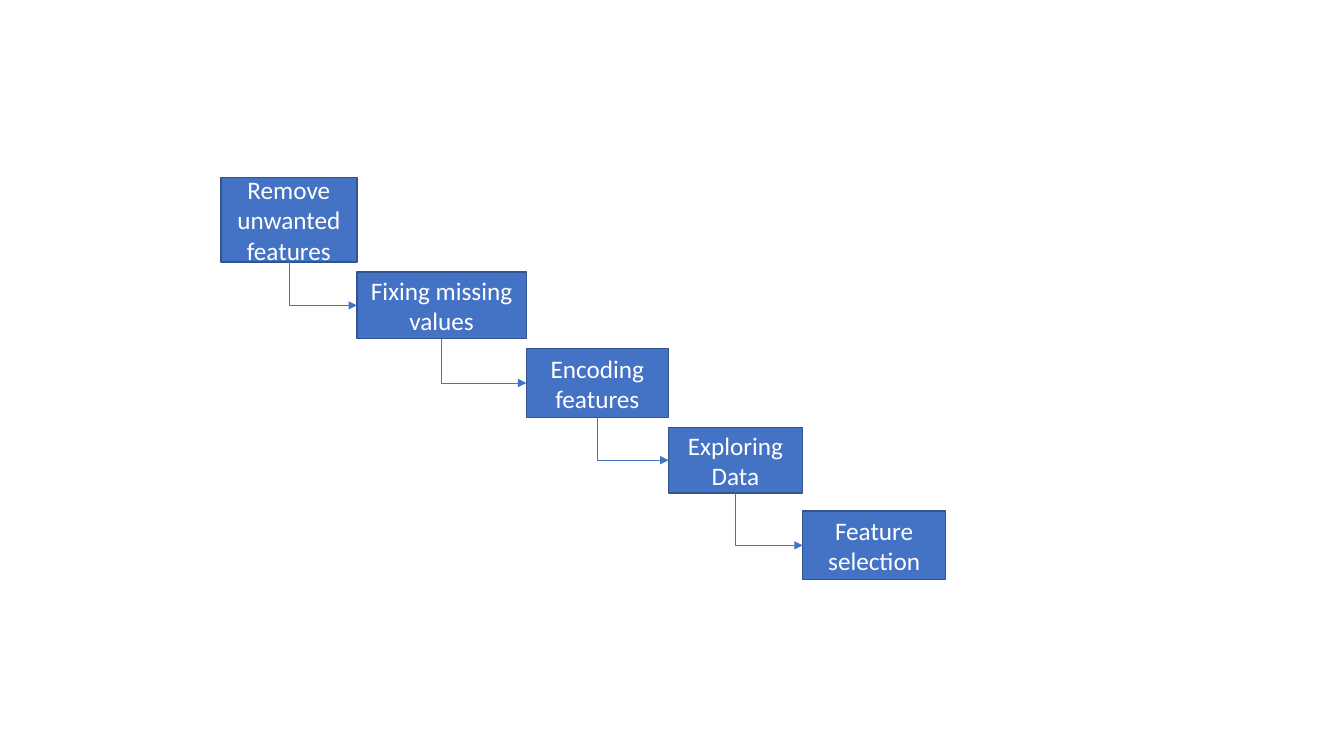
from itertools import pairwise

from lxml import etree
from pptx import Presentation
from pptx.dml.color import RGBColor
from pptx.enum.shapes import MSO_CONNECTOR, MSO_SHAPE
from pptx.enum.text import MSO_ANCHOR, PP_ALIGN
from pptx.oxml.ns import qn
from pptx.util import Inches, Pt

RECT, ELBOW = MSO_SHAPE.RECTANGLE, MSO_CONNECTOR.ELBOW
MIDDLE, CENTER = MSO_ANCHOR.MIDDLE, PP_ALIGN.CENTER
LEFT_SITE, BOTTOM_SITE = 1, 2

# Step label, top, width, height; each step starts where the one before ends
STEPS = [
    ("Remove unwanted features", 1.76, 1.35, 0.84),
    ("Fixing missing values", 2.70, 1.68, 0.66),
    ("Encoding features", 3.46, 1.41, 0.68),
    ("Exploring Data", 4.24, 1.33, 0.65),
    ("Feature selection", 5.07, 1.42, 0.68),
]
FIRST_LEFT = 2.19

THEME = {
    "font": "Calibri",
    "size": Pt(18),
    "text": RGBColor.from_string("FFFFFF"),
    "fill": RGBColor.from_string("4472C4"),
    "border": RGBColor.from_string("325491"),
    "border_width": Pt(1),
    "arrow_width": Pt(0.5),
}


def add_step(slide, label, left, top, width, height):
    """Add one labelled step box and return it."""
    sp = slide.shapes.add_shape(
        RECT, Inches(left), Inches(top), Inches(width), Inches(height))
    sp.shadow.inherit = False
    sp.fill.solid()
    sp.fill.fore_color.rgb = THEME["fill"]
    sp.line.color.rgb = THEME["border"]
    sp.line.width = THEME["border_width"]
    tf = sp.text_frame
    tf.word_wrap = True
    tf.vertical_anchor = MIDDLE
    tf.text = label
    p = tf.paragraphs[0]
    p.alignment = CENTER
    font = p.runs[0].font
    font.name, font.size = THEME["font"], THEME["size"]
    font.color.rgb = THEME["text"]
    return sp


def add_arrow(slide, start, end):
    """Join the bottom of one step to the left side of the next."""
    x1, y1 = start.left + start.width // 2, start.top + start.height
    x2, y2 = end.left, end.top + end.height // 2
    cxn = slide.shapes.add_connector(ELBOW, x1, y1, x2, y2)
    cxn.begin_connect(start, BOTTOM_SITE)
    cxn.end_connect(end, LEFT_SITE)
    cxn.line.color.rgb = THEME["fill"]
    cxn.line.width = THEME["arrow_width"]

    # A quarter turn and a flip make the single bend go down, then right
    run, drop = x2 - x1, y2 - y1
    cxn.left, cxn.top = (x1 + x2 - drop) // 2, (y1 + y2 - run) // 2
    cxn.width, cxn.height = drop, run
    sp_pr = cxn._element.spPr
    xfrm = sp_pr.find(qn("a:xfrm"))
    xfrm.set("rot", str(270 * 60000))
    xfrm.set("flipH", "1")
    sp_pr.find(qn("a:prstGeom")).set("prst", "bentConnector2")
    etree.SubElement(sp_pr.find(qn("a:ln")), qn("a:tailEnd"), type="triangle")
    etree.SubElement(sp_pr, qn("a:effectLst"))


def main():
    """Build the staircase of steps and save it."""
    prs = Presentation()
    prs.slide_width, prs.slide_height = Inches(13.33), Inches(7.5)
    slide = prs.slides.add_slide(prs.slide_layouts[6])
    boxes, left = [], FIRST_LEFT
    for label, top, width, height in STEPS:
        boxes.append(add_step(slide, label, left, top, width, height))
        left += width
    for start, end in pairwise(boxes):
        add_arrow(slide, start, end)
    prs.save("out.pptx")


main()
